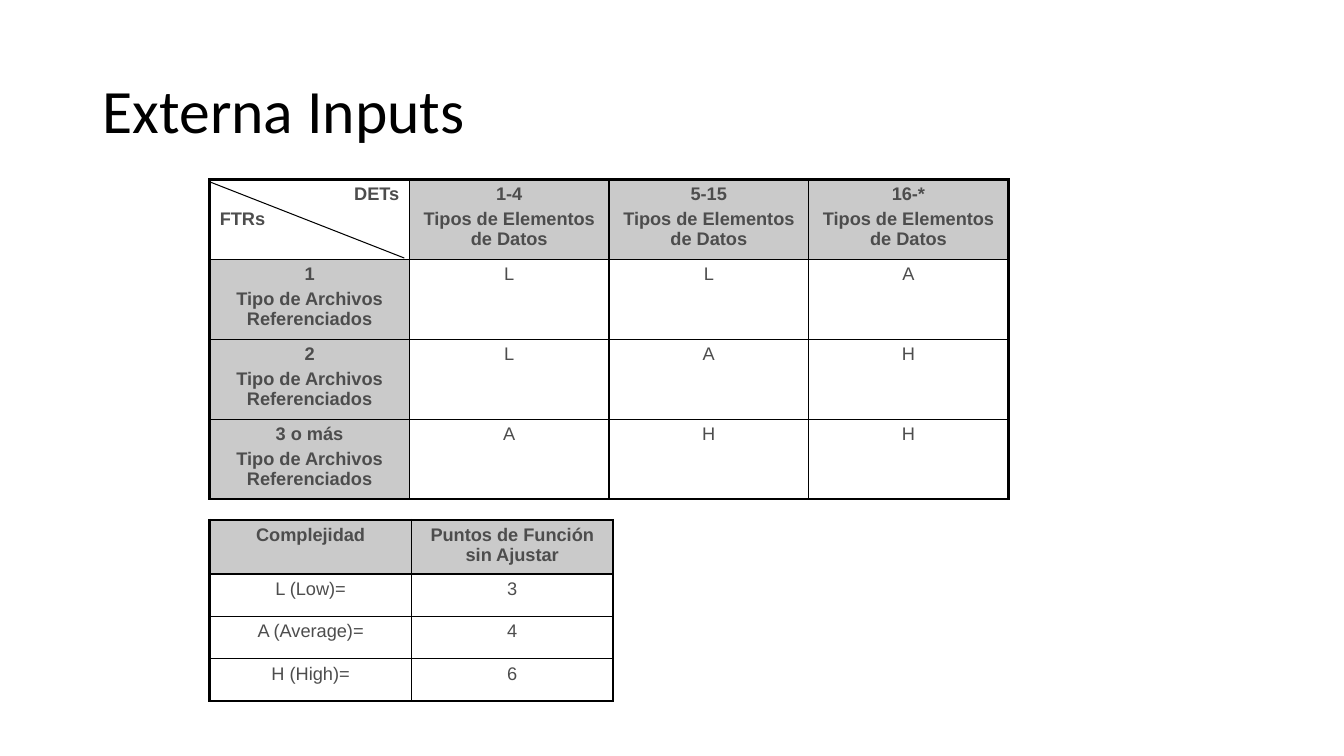
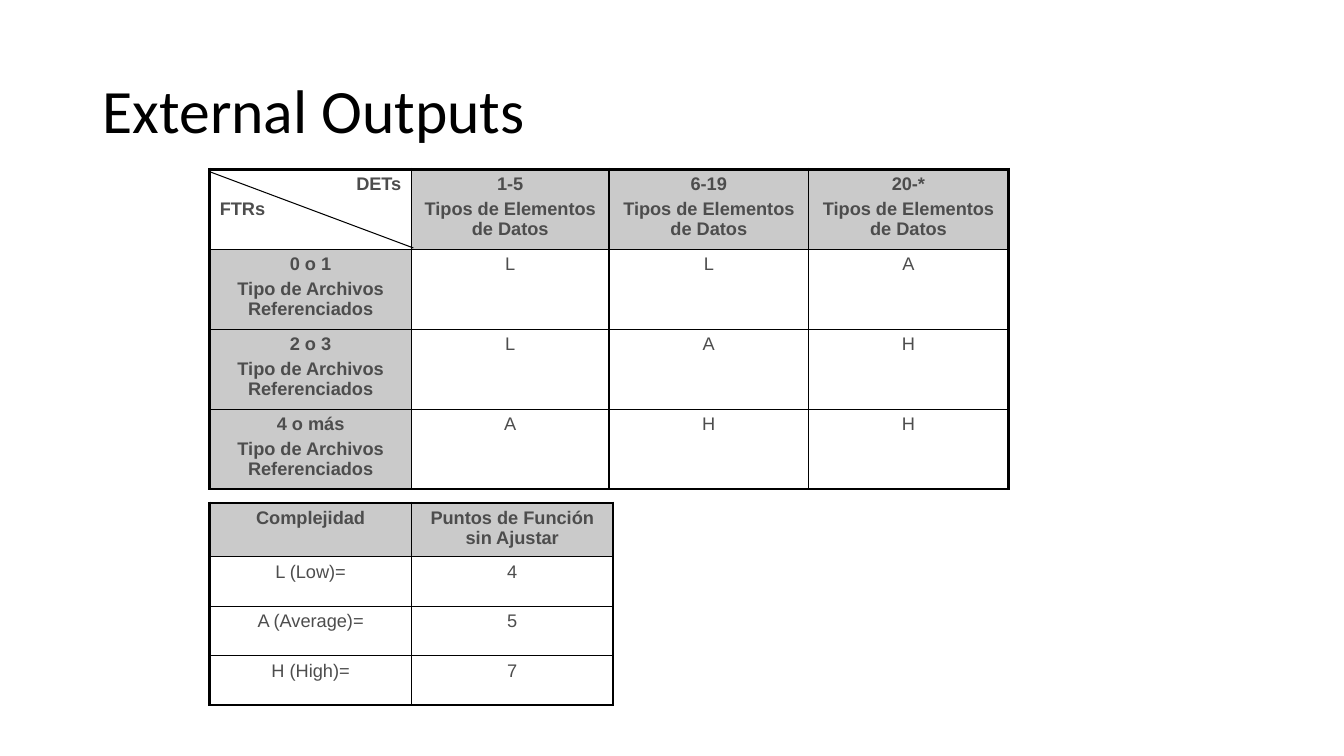
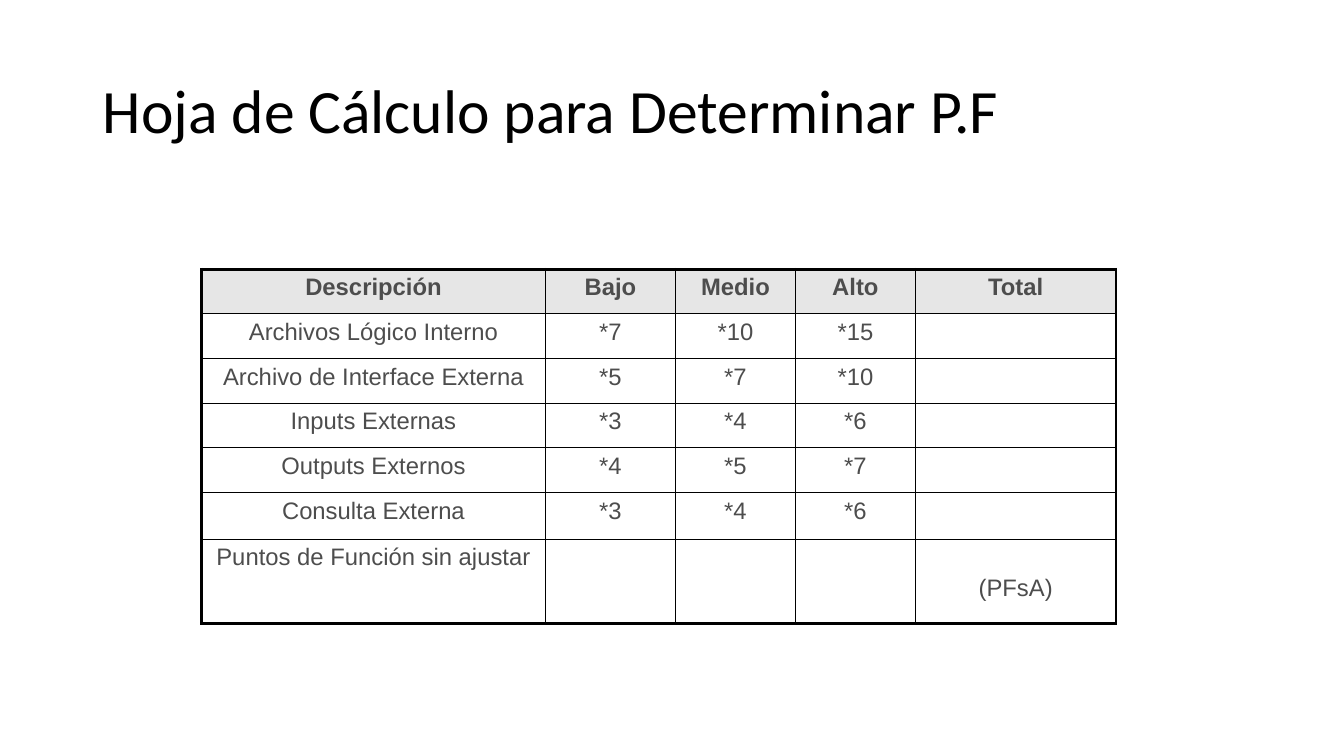
import pptx
import pptx.dml.color
import pptx.enum.shapes
import pptx.enum.text
import pptx.oxml.ns
import pptx.util
from lxml import etree

Inches = pptx.util.Inches
Pt = pptx.util.Pt
ALIGN = pptx.enum.text.PP_ALIGN
BLACK, TEXT_GREY = "000000", "4D4D4D"
HEADER_GREY, SHEET_GREY = "CACACA", "E6E6E6"
THIN, THICK = 1, 2.25


def color(value):
    return pptx.dml.color.RGBColor.from_string(value)


def write(frame, text, size=13, font="Arial", ink=TEXT_GREY, bold=False,
          aligns=(ALIGN.CENTER,), spacing=None):
    """Write one paragraph per line; aligns repeats its last entry."""
    for index, line in enumerate(text.split("\n")):
        para = frame.add_paragraph() if index else frame.paragraphs[0]
        para.alignment = aligns[min(index, len(aligns) - 1)]
        if index:
            para.space_before = Pt(3)
        if spacing:
            para.line_spacing = spacing
        span = para.add_run()
        span.text = line
        span.font.size = Pt(size)
        span.font.name = font
        span.font.bold = bold
        span.font.color.rgb = color(ink)


def add_page(deck, title):
    page = deck.slides.add_slide(deck.slide_layouts[6])
    box = page.shapes.add_textbox(Inches(0.92), Inches(0.4), Inches(11.5), Inches(1.45))
    box.text_frame.word_wrap = True
    box.text_frame.vertical_anchor = pptx.enum.text.MSO_ANCHOR.MIDDLE
    write(box.text_frame, title, size=44, font="Calibri", ink=BLACK,
          aligns=(ALIGN.LEFT,), spacing=0.9)
    return page


def set_borders(cell, widths):
    """Draw black borders; widths are in points: left, right, top, bottom."""
    properties = cell._tc.get_or_add_tcPr()
    for index, (side, width) in enumerate(zip("LRTB", widths)):
        line = etree.Element(pptx.oxml.ns.qn(f"a:ln{side}"), w=str(int(Pt(width))))
        fill = etree.SubElement(line, pptx.oxml.ns.qn("a:solidFill"))
        etree.SubElement(fill, pptx.oxml.ns.qn("a:srgbClr"), val=BLACK)
        properties.insert(index, line)


def add_grid(page, left, top, widths, heights, rows, fill, size=13, side_header=False):
    """Add a table with a thick frame, thin inner lines and shaded headers."""
    grid = page.shapes.add_table(
        len(rows), len(widths), Inches(left), Inches(top),
        Inches(sum(widths)), Inches(sum(heights))).table
    grid.first_row = grid.horz_banding = False
    for column, width in zip(grid.columns, widths):
        column.width = Inches(width)
    for row, height in zip(grid.rows, heights):
        row.height = Inches(height)
    last_row, last_column = len(rows) - 1, len(widths) - 1
    for r, texts in enumerate(rows):
        for c, text in enumerate(texts):
            cell = grid.cell(r, c)
            header = r == 0 or (side_header and c == 0)
            corner = side_header and r == c == 0
            if header and not corner:
                cell.fill.solid()
                cell.fill.fore_color.rgb = color(fill)
            else:
                cell.fill.background()
            outer = (c == 0, c == last_column, r == 0, r == last_row)
            set_borders(cell, [THICK if edge else THIN for edge in outer])
            if text:
                aligns = (ALIGN.RIGHT, ALIGN.LEFT) if corner else (ALIGN.CENTER,)
                write(cell.text_frame, text, size=size, bold=header, aligns=aligns)
    return grid


def add_diagonal(page, left, top, width, height):
    line = page.shapes.add_connector(
        pptx.enum.shapes.MSO_CONNECTOR.STRAIGHT, Inches(left), Inches(top),
        Inches(left + width), Inches(top + height))
    line.line.color.rgb = color(BLACK)
    line.line.width = Pt(0.75)
    etree.SubElement(line._element.spPr, pptx.oxml.ns.qn("a:effectLst"))


def add_matrix(page, left, top, widths, diagonal_width, elements, files):
    """Cross element counts with file counts to give a complexity level."""
    rows = [["DETs\nFTRs"] + [f"{count}\nTipos de Elementos de Datos" for count in elements]]
    for count, levels in zip(files, ("LLA", "LAH", "AHH")):
        rows.append([f"{count}\nTipo de Archivos Referenciados", *levels])
    add_grid(page, left, top, widths, [0.74] * 4, rows, HEADER_GREY, side_header=True)
    add_diagonal(page, left - 0.01, top + 0.02, diagonal_width, 0.76)


def add_weights(page, left, top, row_height, weights):
    levels = ("L (Low)=", "A (Average)=", "H (High)=")
    rows = [("Complejidad", "Puntos de Función sin Ajustar"), *zip(levels, weights)]
    add_grid(page, left, top, [2, 2], [0.5] + [row_height] * 3, rows, HEADER_GREY)


def add_calculation_sheet(page, left, top):
    rows = [
        ("Descripción", "Bajo", "Medio", "Alto", "Total"),
        ("Archivos Lógico Interno", "*7", "*10", "*15", ""),
        ("Archivo de Interface Externa", "*5", "*7", "*10", ""),
        ("Inputs Externas", "*3", "*4", "*6", ""),
        ("Outputs Externos", "*4", "*5", "*7", ""),
        ("Consulta Externa", "*3", "*4", "*6", ""),
        ("Puntos de Función sin ajustar", "", "", "", "(PFsA)"),
    ]
    grid = add_grid(page, left, top, [3.41, 1.29, 1.19, 1.19, 1.99],
                    [0.44, 0.45, 0.44, 0.44, 0.45, 0.46, 0.84], rows, SHEET_GREY, size=17)
    grid.cell(6, 4).margin_top = Inches(0.35)


def main():
    deck = pptx.Presentation()
    deck.slide_width, deck.slide_height = Inches(13.33), Inches(7.5)

    page = add_page(deck, "Externa Inputs")
    add_matrix(page, 2.08, 1.78, [1.98] * 4, 1.94,
               ("1-4", "5-15", "16-*"), ("1", "2", "3 o más"))
    add_weights(page, 2.08, 5.16, 0.42, "346")

    page = add_page(deck, "External Outputs")
    add_matrix(page, 2.08, 1.68, [2, 1.96, 1.98, 1.98], 2.03,
               ("1-5", "6-19", "20-*"), ("0 o 1", "2 o 3", "4 o más"))
    add_weights(page, 2.08, 4.99, 0.49, "457")

    page = add_page(deck, "Hoja de Cálculo para Determinar P.F")
    add_calculation_sheet(page, 2, 2.67)

    deck.save("out.pptx")


if __name__ == "__main__":
    main()
